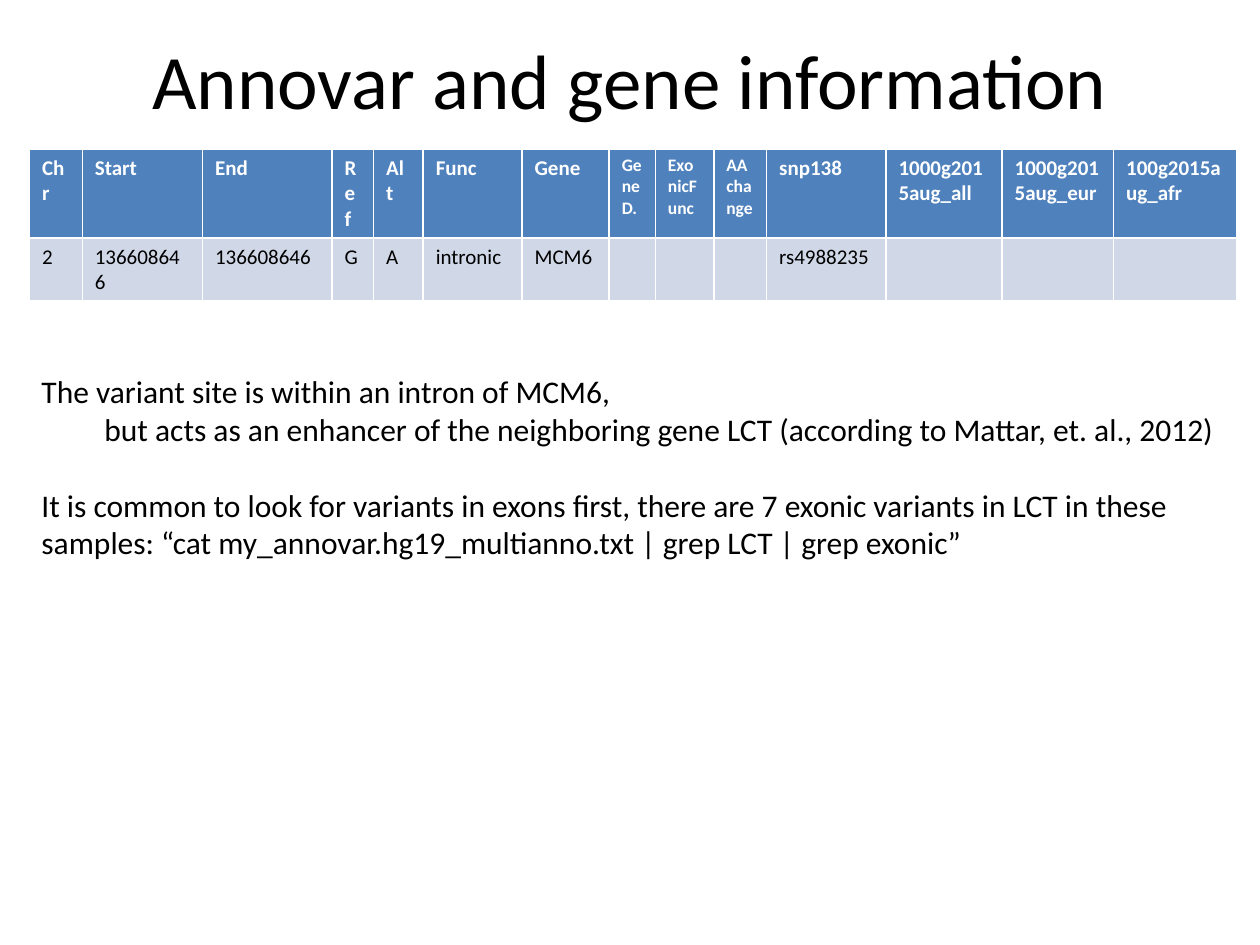
from pptx import Presentation
from pptx.dml.color import RGBColor
from pptx.enum.text import MSO_ANCHOR, PP_ALIGN
from pptx.util import Pt

COLORS = {"header": "4F81BD", "body": "D0D8E8", "white": "FFFFFF", "black": "000000"}


def format_runs(paragraph, size, color="black", bold=False):
    for run in paragraph.runs:
        run.font.name = "Calibri"
        run.font.size = Pt(size)
        run.font.bold = bold
        run.font.color.rgb = RGBColor.from_string(COLORS[color])


presentation = Presentation()
presentation.slide_width = Pt(720)
presentation.slide_height = Pt(540)
slide = presentation.slides.add_slide(presentation.slide_layouts[6])

title = slide.shapes.add_textbox(Pt(36), Pt(0), Pt(648), Pt(90))
title.text_frame.word_wrap = True
title.text_frame.vertical_anchor = MSO_ANCHOR.MIDDLE
title.text_frame.text = "Annovar and gene information"
title.text_frame.paragraphs[0].alignment = PP_ALIGN.CENTER
format_runs(title.text_frame.paragraphs[0], 44)

columns = [
    ("Chr", "2", 30.2, 12),
    ("Start", "136608646", 68.7, 12),
    ("End", "136608646", 74, 12),
    ("Ref", "G", 23.8, 12),
    ("Alt", "A", 28.4, 12),
    ("Func", "intronic", 56.5, 12),
    ("Gene", "MCM6", 49.8, 12),
    ("GeneD.", "", 26.4, 10),
    ("ExonicFunc", "", 33.4, 10),
    ("AAchange", "", 30.2, 10),
    ("snp138", "rs4988235", 68.2, 12),
    ("1000g2015aug_all", "", 66.4, 12),
    ("1000g2015aug_eur", "", 63.7, 12),
    ("100g2015aug_afr", "", 70.3, 12),
]
table_width = sum(column[2] for column in columns)
table = slide.shapes.add_table(2, len(columns), Pt(16.8), Pt(85), Pt(table_width), Pt(87)).table
table.rows[0].height = Pt(51)
table.rows[1].height = Pt(36)
for index, (heading, value, width, heading_size) in enumerate(columns):
    table.columns[index].width = Pt(width)
    styles = [
        (heading, heading_size, "header", "white", True),
        (value, 12, "body", "black", False),
    ]
    for row, (text, size, fill, color, bold) in enumerate(styles):
        cell = table.cell(row, index)
        cell.fill.solid()
        cell.fill.fore_color.rgb = RGBColor.from_string(COLORS[fill])
        if text:
            cell.text_frame.text = text
            format_runs(cell.text_frame.paragraphs[0], size, color, bold)

notes = [
    ("The variant site is within an intron of MCM6,", 0, 0),
    ("but acts as an enhancer of the neighboring gene LCT (according to Mattar, et. al., 2012)", 36, 0),
    ("It is common to look for variants in exons first, there are 7 exonic variants in LCT "
     "in these samples: “cat my_annovar.hg19_multianno.txt | grep LCT | grep exonic”", 0, 21.8),
]
explanation = slide.shapes.add_textbox(Pt(16.6), Pt(209), Pt(703.4), Pt(116.6))
explanation.text_frame.word_wrap = True
explanation.text_frame.text = "\n".join(note[0] for note in notes)
for paragraph, (text, indent, gap) in zip(explanation.text_frame.paragraphs, notes):
    paragraph.space_before = Pt(gap)
    paragraph._p.get_or_add_pPr().set("marL", str(Pt(indent)))
    format_runs(paragraph, 18)

presentation.save("out.pptx")
